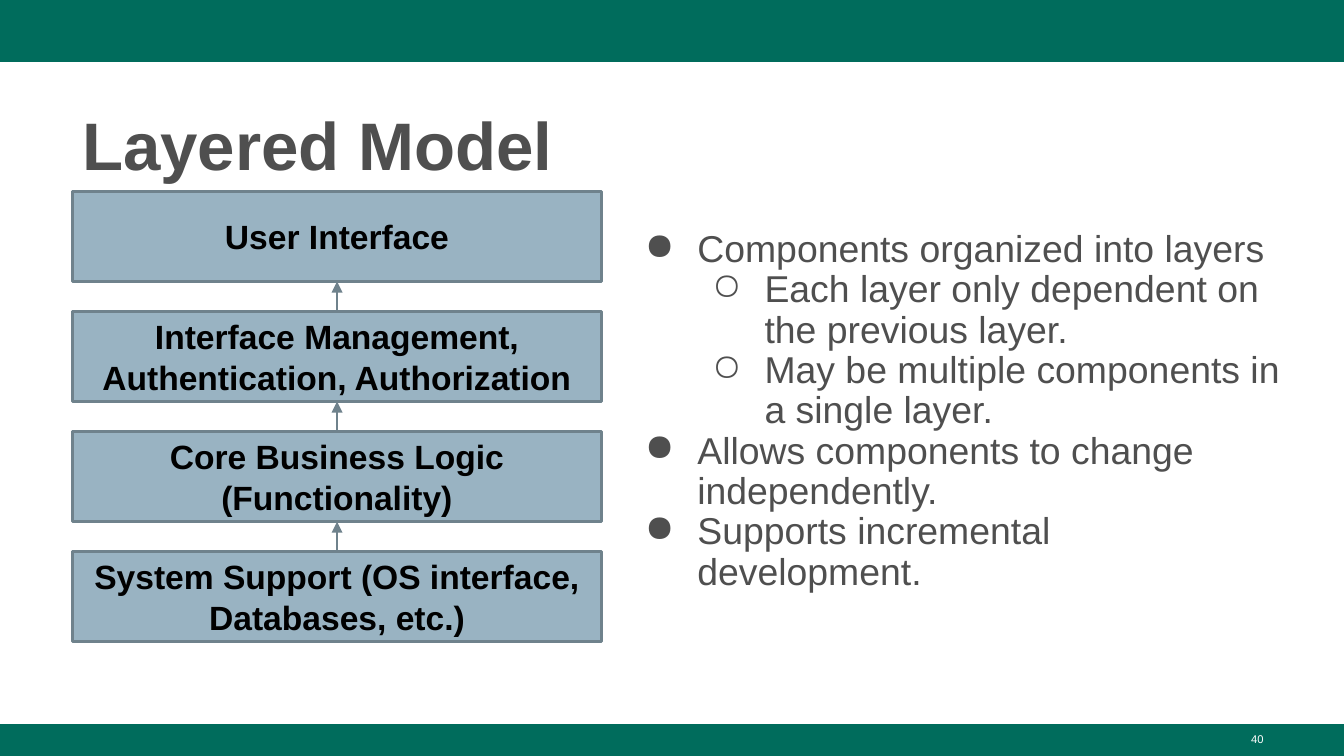
from lxml import etree
from pptx import Presentation
from pptx import util as u
from pptx.dml.color import RGBColor
from pptx.enum import shapes, text
from pptx.oxml.ns import qn

GREEN = RGBColor(0x00, 0x6C, 0x5C)
GREY = RGBColor(0x4F, 0x4F, 0x4F)
LAYER_BLUE = RGBColor(0x99, 0xB3, 0xC2)
LAYER_EDGE = RGBColor(0x6F, 0x82, 0x8C)
BLACK = RGBColor(0, 0, 0)
WHITE = RGBColor(0xFF, 0xFF, 0xFF)
INSET = u.Cm(0.25)


def add_box(left, top, width, height, fill):
    box = slide.shapes.add_shape(shapes.MSO_SHAPE.RECTANGLE, left, top, width, height)
    box.shadow.inherit = False
    box.fill.solid()
    box.fill.fore_color.rgb = fill
    return box


def set_font(paragraph, size, color, bold=False):
    font = paragraph.font
    font.name, font.size, font.bold = "Arial", u.Pt(size), bold
    font.color.rgb = color


prs = Presentation()
prs.slide_width, prs.slide_height = u.Cm(25.4), u.Cm(14.29)
slide = prs.slides.add_slide(prs.slide_layouts[5])

# Green bands at top and bottom
for top, height in ((0, 1.17), (13.69, 0.6)):
    band = add_box(0, u.Cm(top), prs.slide_width, u.Cm(height), GREEN)
    band.line.fill.background()

# Title
title = slide.shapes.title
title.left, title.top, title.width, title.height = u.Cm(1.3), u.Cm(1.7), u.Cm(22.83), u.Cm(1.85)
title.text_frame.auto_size = text.MSO_AUTO_SIZE.NONE
title.text_frame.vertical_anchor = text.MSO_ANCHOR.TOP
title.text_frame.text = "Layered Model"
heading = title.text_frame.paragraphs[0]
heading.alignment = text.PP_ALIGN.LEFT
heading.line_spacing = 1.08
set_font(heading, 36, GREY, bold=True)

# Bulleted notes
notes = slide.shapes.add_textbox(u.Cm(11.66), u.Cm(2.49), u.Cm(12.85), u.Cm(10.59)).text_frame
notes.word_wrap = True
notes.vertical_anchor = text.MSO_ANCHOR.MIDDLE
notes.margin_top = notes.margin_bottom = INSET
points = [
    (0, "Components organized into layers"),
    (1, "Each layer only dependent on the previous layer."),
    (1, "May be multiple components in a single layer."),
    (0, "Allows components to change independently."),
    (0, "Supports incremental development."),
]
for i, (level, wording) in enumerate(points):
    point = notes.add_paragraph() if i else notes.paragraphs[0]
    point.text = wording
    point.level = level
    point.line_spacing = 0.9
    props = point._p.get_or_add_pPr()
    props.set("marL", str(u.Cm(1.27 * (level + 1))))
    props.set("indent", str(-u.Cm(0.99)))
    bullet_color = etree.SubElement(props, qn("a:buClr"))
    etree.SubElement(bullet_color, qn("a:srgbClr"), val=str(GREY))
    etree.SubElement(props, qn("a:buChar"), char="●○"[level])
    set_font(point, 20, GREY)

# Stack of layers, each with an arrow up to the one above
layers = [
    "User Interface",
    "Interface Management, Authentication, Authorization",
    "Core Business Logic (Functionality)",
    "System Support (OS interface, Databases, etc.)",
]
left, first_top, width, height, step = u.Cm(1.37), u.Cm(3.62), u.Cm(10), u.Cm(1.7), u.Cm(2.27)
center = left + width // 2
for i, wording in enumerate(layers):
    top = first_top + i * step
    layer = add_box(left, top, width, height, LAYER_BLUE)
    layer.line.color.rgb = LAYER_EDGE
    layer.line.width = u.Pt(1.5)
    frame = layer.text_frame
    frame.margin_left = frame.margin_right = frame.margin_top = frame.margin_bottom = INSET
    frame.vertical_anchor = text.MSO_ANCHOR.MIDDLE
    frame.text = wording
    frame.paragraphs[0].alignment = text.PP_ALIGN.CENTER
    set_font(frame.paragraphs[0], 18, BLACK, bold=True)
    if i:
        arrow = slide.shapes.add_connector(
            shapes.MSO_CONNECTOR.STRAIGHT, center, top, center, top - step + height)
        arrow.line.color.rgb = LAYER_EDGE
        arrow.line.width = u.Pt(1.5)
        etree.SubElement(arrow.line._get_or_add_ln(), qn("a:tailEnd"), type="triangle")
        etree.SubElement(arrow._element.spPr, qn("a:effectLst"))

# Slide number
number = slide.shapes.add_textbox(u.Cm(18.21), u.Cm(13.72), u.Cm(5.92), u.Cm(0.57)).text_frame
number.word_wrap = True
number.text = "40"
number.paragraphs[0].alignment = text.PP_ALIGN.RIGHT
set_font(number.paragraphs[0], 6, WHITE)

prs.save("out.pptx")
